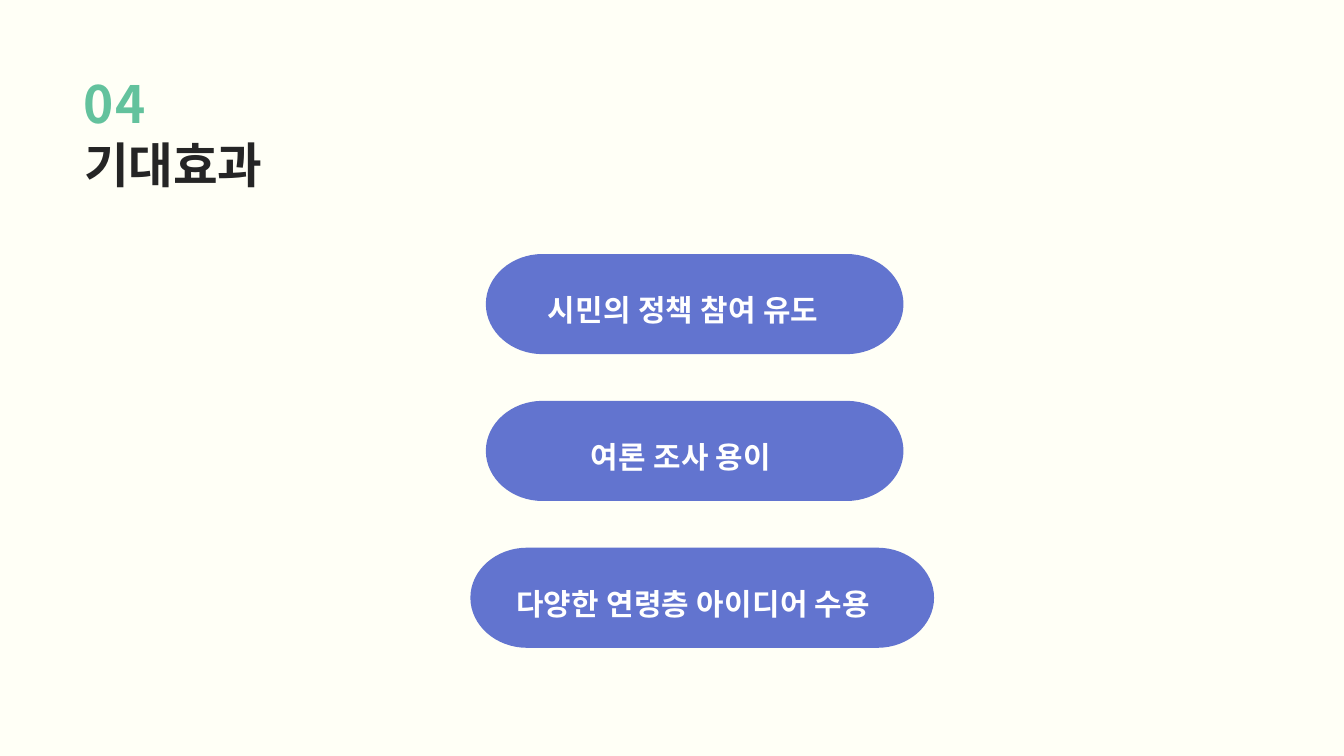
from dataclasses import dataclass

from lxml.etree import SubElement
from pptx import Presentation
from pptx.dml.color import RGBColor
from pptx.enum.text import MSO_ANCHOR, MSO_AUTO_SIZE, PP_ALIGN
from pptx.oxml.ns import qn
from pptx.slide import Slide
from pptx.text.text import TextFrame
from pptx.util import Inches, Pt


@dataclass(frozen=True)
class Theme:
    font: str = "Noto Sans CJK KR"
    back: str = "FFFFF6"
    ink: str = "252525"
    green: str = "63C29D"
    blue: str = "6274CF"
    white: str = "FFFFFF"
    num: int = 55
    head: int = 52
    label: int = 32


@dataclass(frozen=True)
class Pill:
    text: str
    left: float
    width: float
    text_left: float
    text_width: float


THEME = Theme()

# Grid of 80 columns and 45 rows
WIDTH, HEIGHT = Inches(20), Inches(11.25)
COL, ROW = WIDTH / 80, HEIGHT / 45
MARGIN = 5

# Pill rows: first top, pitch, height, cap radius in columns, text inset
TOP, PITCH, TALL, CAP, INSET = 15.12, 8.74, 5.96, 3.38, 0.84

# Half an ellipse as two cubic curves, in shares of its radii
BEND = 0.55
ARC = ((0, -1), (BEND, -1), (1, -BEND), (1, 0),
       (1, BEND), (BEND, 1), (0, 1))

PILLS = (
    Pill("시민의 정책 참여 유도", 28.92, 24.86, 32.6, 17.52),
    Pill("여론 조사 용이", 28.92, 24.86, 35.16, 13.24),
    Pill("다양한 연령층 아이디어 수용", 28, 27.6, 30.72, 22.12),
)


def place(shape, left: float, top: float, width: float, height: float) -> None:
    shape.left, shape.top = round(left * COL), round(top * ROW)
    shape.width, shape.height = round(width * COL), round(height * ROW)


def write(frame: TextFrame, text: str, *, size: int, color: str,
          lead: int, track: float = 0) -> None:
    """Fill a frame with one bold line, flush left at the top."""
    frame.word_wrap = True
    frame.auto_size = MSO_AUTO_SIZE.NONE
    frame.vertical_anchor = MSO_ANCHOR.TOP
    frame.margin_left = frame.margin_right = 0
    frame.margin_top = frame.margin_bottom = 0
    para = frame.paragraphs[0]
    para.alignment = PP_ALIGN.LEFT
    para.line_spacing = Pt(lead)
    para.space_before = Pt(0)
    run = para.add_run()
    run.text = text
    font = run.font
    font.size, font.bold, font.name = Pt(size), True, THEME.font
    font.color.rgb = RGBColor.from_string(color)
    # East Asian typeface and letter spacing
    props = run._r.get_or_add_rPr()
    SubElement(props, qn("a:ea")).set("typeface", THEME.font)
    if track:
        props.set("spc", str(round(track * 100)))


def add_text(shapes, text: str, left: float, top: float,
             width: float, height: float, **form) -> None:
    box = shapes.add_textbox(0, 0, 0, 0)
    place(box, left, top, width, height)
    write(box.text_frame, text, **form)


def curve(shape) -> None:
    """Turn the line segments of both caps into cubic curves."""
    lines = list(shape._element.iter(qn("a:lnTo")))
    # Six segments per cap, with one straight edge at index 6
    for first in (0, 3, 7, 10):
        head, *rest = lines[first:first + 3]
        head.tag = qn("a:cubicBezTo")
        for line in rest:
            head.append(line[0])
            line.getparent().remove(line)


def add_pill(slide: Slide, pill: Pill, top: float) -> None:
    """Draw a bar with elliptical caps and its label as one group."""
    shapes = slide.shapes.add_group_shape().shapes
    mid = top + TALL / 2
    caps = ((pill.left + pill.width - CAP, 1), (pill.left + CAP, -1))
    points = [(round((hub + side * CAP * x) * COL),
               round((mid + side * TALL / 2 * y) * ROW))
              for hub, side in caps for x, y in ARC]
    pen = shapes.build_freeform(*points[0])
    pen.add_line_segments(points[1:], close=True)
    bar = pen.convert_to_shape()
    curve(bar)
    bar.shadow.inherit = False
    bar.fill.solid()
    bar.fill.fore_color.rgb = RGBColor.from_string(THEME.blue)
    bar.line.fill.background()
    add_text(shapes, pill.text, pill.text_left, top + INSET,
             pill.text_width, 3.2, size=THEME.label, color=THEME.white,
             lead=64, track=0.3)


def main() -> None:
    deck = Presentation()
    deck.slide_width, deck.slide_height = WIDTH, HEIGHT
    slide = deck.slides.add_slide(deck.slide_layouts[5])
    slide.background.fill.solid()
    slide.background.fill.fore_color.rgb = RGBColor.from_string(THEME.back)

    # Section number and title
    add_text(slide.shapes, "04", MARGIN, 1.84, 6.12, 5.48,
             size=THEME.num, color=THEME.green, lead=110, track=1.3)
    title = slide.shapes.title
    place(title, MARGIN, 5.72, 23.2, 5.2)
    write(title.text_frame, "기대효과", size=THEME.head,
          color=THEME.ink, lead=104)

    # Expected effects
    for row, pill in enumerate(PILLS):
        add_pill(slide, pill, TOP + row * PITCH)

    deck.save("out.pptx")


if __name__ == "__main__":
    main()
